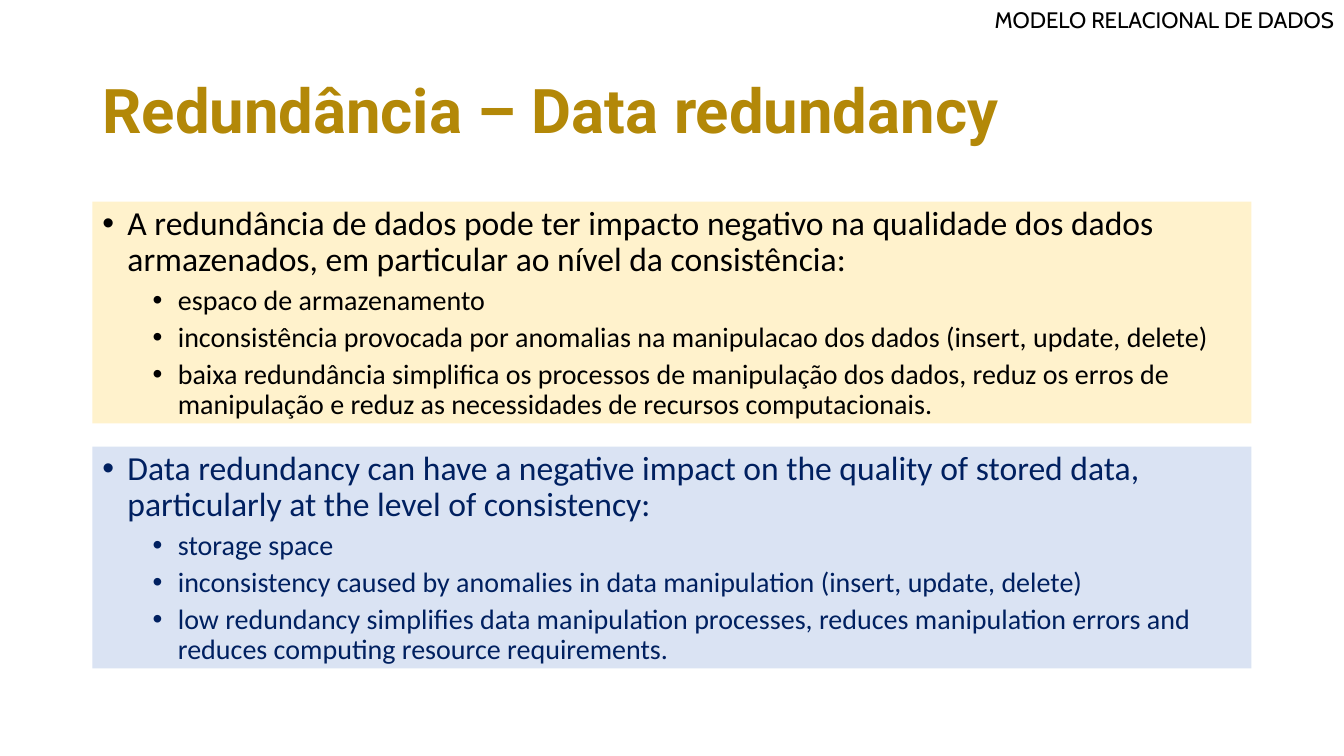
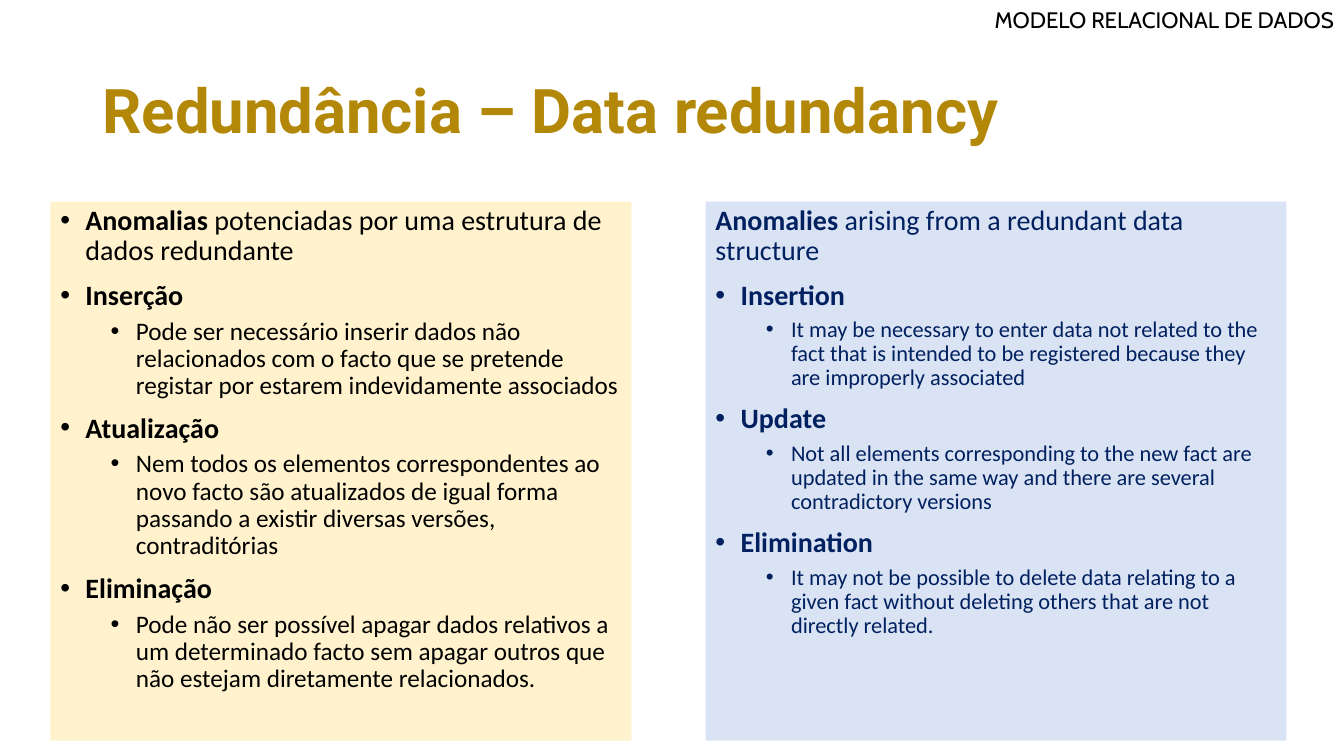
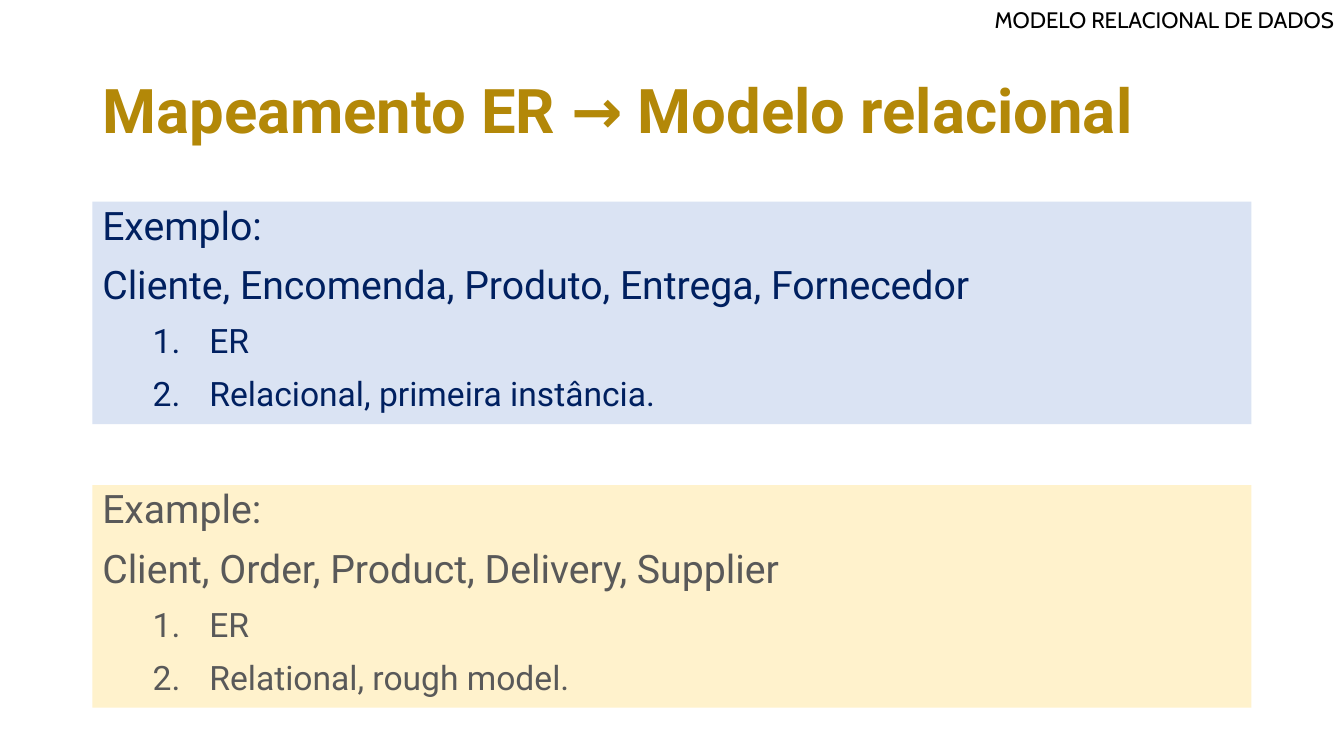
import lxml.etree
import pptx
import pptx.dml.color
import pptx.enum.text
import pptx.oxml.ns
import pptx.util

Pt = pptx.util.Pt
ALIGN = pptx.enum.text.PP_ALIGN
ANCHOR = pptx.enum.text.MSO_ANCHOR
AUTO_SIZE = pptx.enum.text.MSO_AUTO_SIZE

COLORS = {
    "title": "B38808",
    "black": "000000",
    "navy": "002060",
    "grey": "595959",
    "cream": "FFF2CC",
    "blue": "DAE3F3",
}
LEFT, WIDTH, BODY_TOP = 66, 828, 144
COLUMN_WIDTH, COLUMN_HEIGHT = 415, 385
TITLE_ONLY = 5

# kind: (level, left margin, first-line indent, bullet)
KINDS = {
    "plain": (0, 0, 0, None),
    "bullet": (0, 18, -18, "•"),
    "sub": (1, 54, -18, "•"),
    "number": (1, 76.5, -40.5, "arabicPeriod"),
}


def color(name):
    return pptx.dml.color.RGBColor.from_string(COLORS[name])


def add_run(p, text, font, size, color_name, bold=False):
    r = p.add_run()
    r.text = text
    r.font.name = font
    r.font.size = Pt(size)
    r.font.bold = bold
    r.font.color.rgb = color(color_name)


def set_bullet(p, margin, indent, bullet):
    pPr = p._p.get_or_add_pPr()
    pPr.set("marL", str(Pt(margin)))
    pPr.set("indent", str(Pt(indent)))

    def add(tag, **attributes):
        lxml.etree.SubElement(pPr, pptx.oxml.ns.qn(tag), attributes)

    if bullet is None:
        add("a:buNone")
    elif bullet == "•":
        add("a:buFont", typeface="Arial")
        add("a:buChar", char=bullet)
    else:
        add("a:buAutoNum", type=bullet)


def add_slide(prs, title):
    """Add a slide with the shared title style and running header."""
    slide = prs.slides.add_slide(prs.slide_layouts[TITLE_ONLY])
    sp = slide.shapes.title
    sp.left, sp.top, sp.width, sp.height = Pt(LEFT), Pt(28.75), Pt(WIDTH), Pt(104.4)
    tf = sp.text_frame
    tf.word_wrap = True
    tf.auto_size = AUTO_SIZE.NONE
    tf.vertical_anchor = ANCHOR.MIDDLE
    p = tf.paragraphs[0]
    p.alignment = ALIGN.LEFT
    p.line_spacing = 0.9
    add_run(p, title, "Roboto", 44, "title", bold=True)

    header = slide.shapes.add_textbox(Pt(626), Pt(0.5), Pt(334), Pt(26.6))
    header.text_frame.word_wrap = True
    p = header.text_frame.paragraphs[0]
    p.alignment = ALIGN.RIGHT
    add_run(p, "MODELO RELACIONAL DE DADOS", "Cabin", 16, "black")
    return slide


def add_panel(slide, box, fill, ink, paragraphs, sizes, font="Calibri", gaps=(10, 5)):
    """Add a filled text panel.

    Each paragraph is (kind, plain text) or (kind, bold text, plain text);
    sizes and gaps hold one value per outline level.
    """
    sp = slide.shapes.add_textbox(*map(Pt, box))
    sp.fill.solid()
    sp.fill.fore_color.rgb = color(fill)
    tf = sp.text_frame
    tf.word_wrap = True
    for i, (kind, *texts) in enumerate(paragraphs):
        level, margin, indent, bullet = KINDS[kind]
        p = tf.add_paragraph() if i else tf.paragraphs[0]
        p.level = level
        p.line_spacing = 0.9
        p.space_before = Pt(gaps[level])
        set_bullet(p, margin, indent, bullet)
        for j, text in enumerate(texts):
            if text:
                is_bold = len(texts) == 2 and j == 0
                add_run(p, text, font, sizes[level], ink, is_bold)


def build_impact(prs):
    slide = add_slide(prs, "Redundância – Data redundancy")
    height, sizes = 158.4, (24, 20)
    add_panel(slide, (LEFT, BODY_TOP, WIDTH, height), "cream", "black", [
        ("bullet", "A redundância de dados pode ter impacto negativo na qualidade dos dados "
                   "armazenados, em particular ao nível da consistência:"),
        ("sub", "espaco de armazenamento"),
        ("sub", "inconsistência provocada por anomalias na manipulacao dos dados "
                "(insert, update, delete)"),
        ("sub", "baixa redundância simplifica os processos de manipulação dos dados, reduz os "
                "erros de manipulação e reduz as necessidades de recursos computacionais."),
    ], sizes)
    add_panel(slide, (LEFT, 319, WIDTH, height), "blue", "navy", [
        ("bullet", "Data redundancy can have a negative impact on the quality of stored data, "
                   "particularly at the level of consistency:"),
        ("sub", "storage space"),
        ("sub", "inconsistency caused by anomalies in data manipulation "
                "(insert, update, delete)"),
        ("sub", "low redundancy simplifies data manipulation processes, reduces manipulation "
                "errors and reduces computing resource requirements."),
    ], sizes)


def build_anomalies(prs):
    slide = add_slide(prs, "Redundância – Data redundancy")
    add_panel(slide, (36, BODY_TOP, COLUMN_WIDTH, COLUMN_HEIGHT), "cream", "black", [
        ("bullet", "Anomalias", " potenciadas por uma estrutura de dados redundante"),
        ("bullet", "Inserção", ""),
        ("sub", "Pode ser necessário inserir dados não relacionados com o facto que se "
                "pretende registar por estarem indevidamente associados"),
        ("bullet", "Atualização", ""),
        ("sub", "Nem todos os elementos correspondentes ao novo facto são atualizados de "
                "igual forma passando a existir diversas versões, contraditórias"),
        ("bullet", "Eliminação", ""),
        ("sub", "Pode não ser possível apagar dados relativos a um determinado facto sem "
                "apagar outros que não estejam diretamente relacionados."),
    ], (20, 18))
    add_panel(slide, (504, BODY_TOP, COLUMN_WIDTH, COLUMN_HEIGHT), "blue", "navy", [
        ("plain", "Anomalies ", "arising from a redundant data structure"),
        ("bullet", "Insertion", ""),
        ("sub", "It may be necessary to enter data not related to the fact that is intended "
                "to be registered because they are improperly associated"),
        ("bullet", "Update", ""),
        ("sub", "Not all elements corresponding to the new fact are updated in the same way "
                "and there are several contradictory versions"),
        ("bullet", "Elimination", ""),
        ("sub", "It may not be possible to delete data relating to a given fact without "
                "deleting others that are not directly related."),
    ], (20, 16))


def build_mapping(prs):
    slide = add_slide(prs, "Mapeamento ER → Modelo relacional")
    panels = [
        (BODY_TOP, "blue", "navy", "Exemplo:",
         "Cliente, Encomenda, Produto, Entrega, Fornecedor", "Relacional, primeira instância."),
        (346.5, "cream", "grey", "Example:",
         "Client, Order, Product, Delivery, Supplier", "Relational, rough model."),
    ]
    for top, fill, ink, heading, entities, model in panels:
        add_panel(slide, (LEFT, top, WIDTH, 159), fill, ink, [
            ("plain", heading),
            ("plain", entities),
            ("number", "ER"),
            ("number", model),
        ], (28, 24), font="Roboto", gaps=(12, 12))


def main():
    prs = pptx.Presentation()
    prs.slide_width, prs.slide_height = Pt(960), Pt(540)
    build_impact(prs)
    build_anomalies(prs)
    build_mapping(prs)
    prs.save("out.pptx")


if __name__ == "__main__":
    main()
